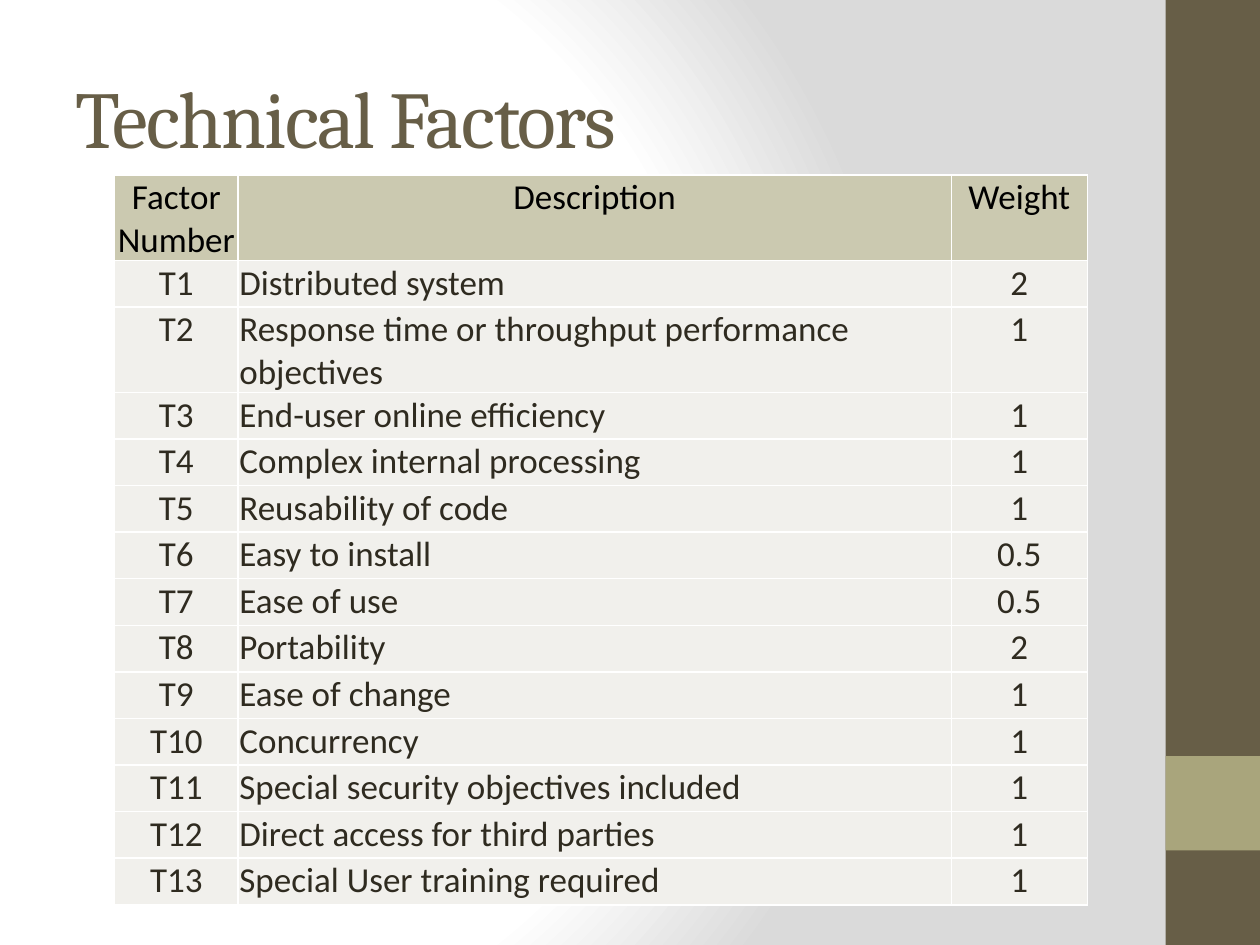
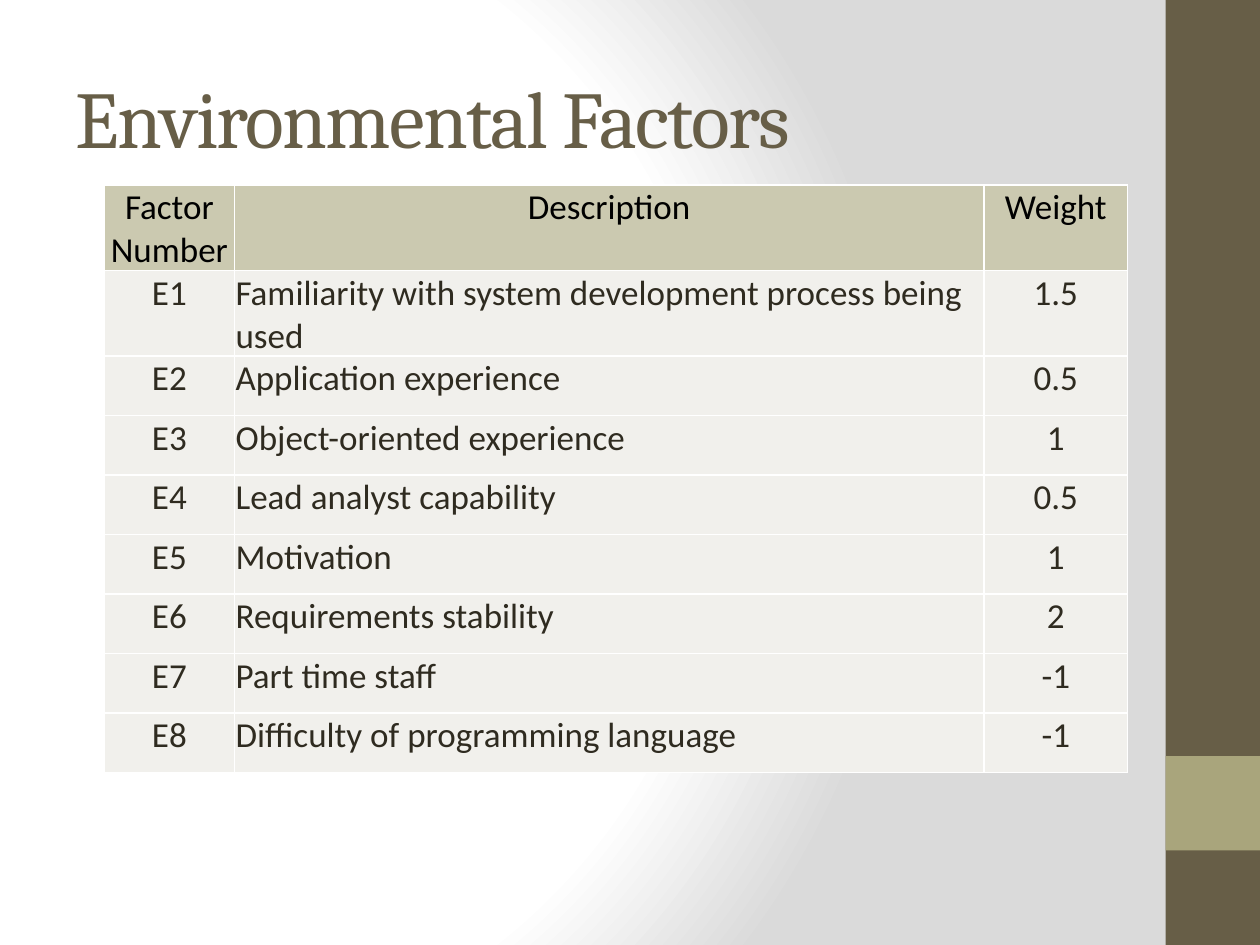
from lxml import etree
from pptx import Presentation
from pptx.dml.color import RGBColor
from pptx.enum.shapes import MSO_SHAPE
from pptx.enum.text import MSO_ANCHOR, PP_ALIGN
from pptx.oxml import parse_xml
from pptx.oxml.ns import nsdecls, qn
from pptx.util import Inches, Pt

RECTANGLE = MSO_SHAPE.RECTANGLE
MIDDLE = MSO_ANCHOR.MIDDLE
LEFT, CENTER = PP_ALIGN.LEFT, PP_ALIGN.CENTER

COLORS = {
    "band": "675E47",
    "accent": "A9A57C",
    "header": "CBC9B0",
    "body": "F1F0EC",
    "header_text": "000000",
    "body_text": "2F2B20",
    "border": "FFFFFF",
    "glow": "FFFFFF",
    "edge": "DADADA",
}
COLUMNS, ROWS = 40, 30
TITLE_FORMAT = {"name": "Cambria", "size": Pt(46)}
CELL_FORMAT = {"name": "Calibri", "size": Pt(20), "bold": False}
CELL_MARGINS = {"margin_left": Inches(0.01), "margin_right": Inches(0.01),
                "margin_top": Inches(0.01), "margin_bottom": 0}
BANDS = [("band", 0, 30), ("accent", 24, 3)]
HEADINGS = ("Factor Number", "Description", "Weight")
ALIGNMENTS = (CENTER, LEFT, CENTER)

FACTOR_PAGES = [
    {
        "title": "Technical Factors",
        "prefix": "T",
        "corner": (3.64, 5.56),
        "widths": (3.92, 22.64, 4.32),
        "row_height": 1.48,
        "factors": [
            ("Distributed system", "2"),
            ("Response time or throughput performance objectives", "1"),
            ("End-user online efficiency", "1"),
            ("Complex internal processing", "1"),
            ("Reusability of code", "1"),
            ("Easy to install", "0.5"),
            ("Ease of use", "0.5"),
            ("Portability", "2"),
            ("Ease of change", "1"),
            ("Concurrency", "1"),
            ("Special security objectives included", "1"),
            ("Direct access for third parties", "1"),
            ("Special User training required", "1"),
        ],
    },
    {
        "title": "Environmental Factors",
        "prefix": "E",
        "corner": (3.32, 5.88),
        "widths": (4.12, 23.8, 4.56),
        "row_height": 1.89,
        "factors": [
            ("Familiarity with system development process being used", "1.5"),
            ("Application experience", "0.5"),
            ("Object-oriented experience", "1"),
            ("Lead analyst capability", "0.5"),
            ("Motivation", "1"),
            ("Requirements stability", "2"),
            ("Part time staff", "-1"),
            ("Difficulty of programming language", "-1"),
        ],
    },
]

deck = Presentation()
deck.slide_width, deck.slide_height = Inches(10), Inches(7.5)


def place(left, top, width, height):
    column, row = deck.slide_width / COLUMNS, deck.slide_height / ROWS
    return [round(n * unit) for n, unit in
            zip((left, top, width, height), (column, row, column, row))]


def write(para, text, color, formats):
    span = para.add_run()
    span.text = text
    for name, value in formats.items():
        setattr(span.font, name, value)
    span.font.color.rgb = RGBColor.from_string(COLORS[color])
    return span


master = deck.slide_master
master.background.fill.gradient()
plain_gradient = master.element.find(".//" + qn("a:gradFill"))
stops = "".join(
    f'<a:gs pos="{share * 1000}"><a:srgbClr val="{COLORS[color]}"/></a:gs>'
    for share, color in [(0, "glow"), (75, "glow"), (100, "edge")])
plain_gradient.getparent().replace(plain_gradient, parse_xml(
    f'<a:gradFill {nsdecls("a")} rotWithShape="1"><a:gsLst>{stops}</a:gsLst>'
    '<a:path path="circle"><a:fillToRect l="20000" t="50000" r="100000" b="50000"/>'
    '</a:path></a:gradFill>'))

for content in FACTOR_PAGES:
    page = deck.slides.add_slide(deck.slide_layouts[6])

    for color, top, height in BANDS:
        band = page.shapes.add_shape(RECTANGLE, *place(37, top, 3, height))
        band.shadow.inherit = False
        band.fill.solid()
        band.fill.fore_color.rgb = RGBColor.from_string(COLORS[color])
        band.line.fill.background()

    box = page.shapes.add_textbox(*place(2, 1.2, 33.32, 5))
    box.text_frame.word_wrap = True
    box.text_frame.vertical_anchor = MIDDLE
    title = write(box.text_frame.paragraphs[0], content["title"], "band", TITLE_FORMAT)
    title.font._element.set("spc", "-100")

    lines = [HEADINGS] + [(f"{content['prefix']}{number}", *factor)
                          for number, factor in enumerate(content["factors"], 1)]
    widths, row_height = content["widths"], content["row_height"]
    table = page.shapes.add_table(
        len(lines), len(HEADINGS),
        *place(*content["corner"], sum(widths), row_height * len(lines))).table
    for column, width in zip(table.columns, widths):
        column.width = place(0, 0, width, 0)[2]

    for row_index, line in enumerate(lines):
        part = "body" if row_index else "header"
        table.rows[row_index].height = place(0, 0, 0, row_height)[3]
        for column_index, text in enumerate(line):
            cell = table.cell(row_index, column_index)
            for name, value in CELL_MARGINS.items():
                setattr(cell, name, value)
            properties = cell._tc.get_or_add_tcPr()
            for side in "LRTB":
                border = etree.SubElement(properties, qn(f"a:ln{side}"), w=str(Pt(1)))
                fill = etree.SubElement(border, qn("a:solidFill"))
                etree.SubElement(fill, qn("a:srgbClr"), val=COLORS["border"])
            cell.fill.solid()
            cell.fill.fore_color.rgb = RGBColor.from_string(COLORS[part])
            para = cell.text_frame.paragraphs[0]
            para.alignment = ALIGNMENTS[column_index] if row_index else CENTER
            write(para, text, f"{part}_text", CELL_FORMAT)

deck.save("out.pptx")
